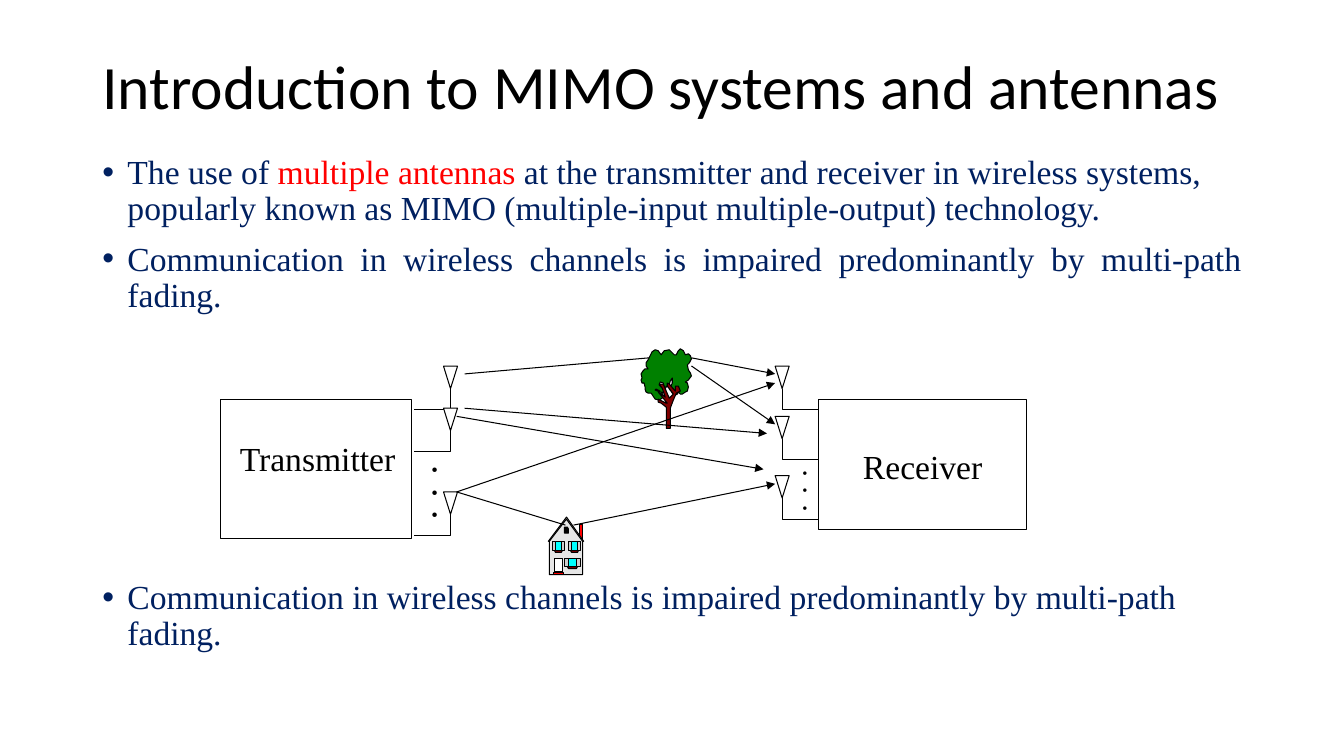
import lxml.etree
import pptx
import pptx.dml.color
import pptx.enum.shapes
import pptx.enum.text
import pptx.oxml.ns
import pptx.util

Pt = pptx.util.Pt
ALIGN = pptx.enum.text.PP_ALIGN
BLACK, WHITE, NAVY, RED = "000000", "FFFFFF", "002060", "FF0000"
SERIF = "Times New Roman"
UNIT = 0.72  # points per grid unit in the tree and house drawings
TREE, HOUSE = (457.92, 249.12), (391.68, 369.36)  # top left corners

CROWN = [
    (22, 46), (20, 43), (21, 43), (23, 44), (25, 37), (26, 38), (28, 36), (29, 32),
    (31, 29), (31, 34), (29, 39), (28, 40), (30, 42), (31, 44), (34, 46), (36, 45),
    (37, 43), (39, 45), (41, 45), (44, 43), (46, 42), (47, 38), (46, 34), (44, 33),
    (47, 31), (50, 27), (49, 24), (47, 21), (46, 16), (48, 14), (50, 10), (49, 7),
    (47, 5), (44, 6), (42, 2), (39, 0), (37, 2), (35, 6), (33, 6), (31, 4),
    (28, 1), (23, 2), (20, 6), (17, 2), (14, 1), (11, 3), (9, 7), (7, 11),
    (5, 14), (5, 17), (7, 20), (4, 20), (2, 22), (0, 25), (1, 29), (0, 31),
    (1, 34), (3, 34), (4, 38), (4, 40), (5, 43), (7, 44), (10, 44), (14, 50),
    (18, 51), (21, 49)]
CROWN_GAPS = [[(22, 34), (24, 42), (21, 39), (18, 36), (19, 33)],
              [(14, 41), (15, 40), (19, 42), (19, 43)]]
TRUNK = [
    (17, 43), (26, 54), (25, 54), (21, 52), (17, 50), (17, 53), (20, 54), (25, 58),
    (25, 79), (29, 79), (29, 59), (32, 51), (35, 44), (39, 42), (37, 37), (34, 37),
    (34, 42), (28, 35), (26, 34), (26, 37), (32, 45), (28, 49), (22, 35), (18, 35),
    (21, 39), (24, 48), (20, 45)]
ROOF = [(0, 24), (35, 24), (18, 0)]
WALL = [(1, 57), (34, 57), (34, 24), (18, 2), (1, 24)]
ATTIC = [(16, 16), (20, 16), (20, 12), (19, 10), (16, 10), (16, 12)]
# Windows: left, top, width, height, shutter width
WINDOWS = [(7, 24, 6, 9, 3), (23, 24, 6, 9, 3), (20, 41, 8, 8, 4)]
STEPS = [(6, 54, 8, 1), (5, 55, 10, 2)]

# Signal paths: start, end, arrowhead
SIGNALS = [
    ((326.2, 297.4), (545.4, 335.2), True),
    ((326.2, 351.4), (403.9, 375.1), False),
    ((409.7, 375.1), (553.7, 345.6), True),
    ((331.9, 267.1), (463.7, 255.6), False),
    ((493.9, 261.4), (553.7, 303.1), True),
    ((493.9, 255.6), (553.7, 267.1), True),
    ((331.9, 291.6), (547.9, 309.6), True),
    ((326.2, 351.4), (553.7, 273.6), True)]


def color(value):
    return pptx.dml.color.RGBColor.from_string(value)


def paint(shape, fill):
    shape.shadow.inherit = False
    if fill:
        shape.fill.solid()
        shape.fill.fore_color.rgb = color(fill)
    else:
        shape.fill.background()
    shape.line.color.rgb = color(BLACK)
    shape.line.width = Pt(0.75)


def style(para, size, font, ink):
    for span in para.runs:
        span.font.size = Pt(size)
        span.font.name = font
        span.font.color.rgb = color(ink)


def add_box(page, left, top, width, height, fill):
    box = page.shapes.add_shape(pptx.enum.shapes.MSO_SHAPE.RECTANGLE,
                                Pt(left), Pt(top), Pt(width), Pt(height))
    paint(box, fill)
    return box


def add_text(page, left, top, width, height, lines, size, font=SERIF, wrap=False):
    box = page.shapes.add_textbox(Pt(left), Pt(top), Pt(width), Pt(height))
    frame = box.text_frame
    frame.text = "\n".join(lines)
    frame.word_wrap = wrap
    for para in frame.paragraphs:
        style(para, size, font, BLACK)
    return frame


def add_outline(page, origin, contours, fill, unit=UNIT, close=True):
    builder = page.shapes.build_freeform(*contours[0][0], scale=Pt(unit))
    for contour in contours:
        builder.move_to(*contour[0])
        builder.add_line_segments(contour[1:], close=close)
    shape = builder.convert_to_shape(Pt(origin[0]), Pt(origin[1]))
    paint(shape, fill)


def rectangle(left, top, width, height):
    right, bottom = left + width, top + height
    return [(left, bottom), (right, bottom), (right, top), (left, top)]


def add_signal(page, start, end, arrow):
    line = page.shapes.add_connector(pptx.enum.shapes.MSO_CONNECTOR.STRAIGHT,
                                     *[Pt(value) for value in start + end])
    line.line.color.rgb = color(BLACK)
    line.line.width = Pt(0.75)
    if arrow:
        lxml.etree.SubElement(line.line._get_or_add_ln(),
                              pptx.oxml.ns.qn("a:tailEnd"), type="triangle")
    lxml.etree.SubElement(line._element.spPr, pptx.oxml.ns.qn("a:effectLst"))


def add_antenna(page, x, top, feed):
    wire = [(feed, 31), (0, 31), (0, 15.6)]
    add_outline(page, (x, top), [wire], None, unit=1, close=False)
    horn = [(0, 15.6), (-5.1, 0), (5.1, 0)]
    add_outline(page, (x, top), [horn], WHITE, unit=1)


def add_bullet(para, parts, before):
    para.text = "".join(parts) if len(parts) == 1 else ""
    if len(parts) > 1:
        for part in parts:
            para.add_run().text = part
    style(para, 24, SERIF, NAVY)
    para.line_spacing = 0.9
    para.space_before = Pt(before)
    props = para._p.get_or_add_pPr()
    props.set("marL", str(Pt(18)))
    props.set("indent", str(Pt(-18)))
    ink = lxml.etree.SubElement(props, pptx.oxml.ns.qn("a:buClr"))
    lxml.etree.SubElement(ink, pptx.oxml.ns.qn("a:srgbClr"), val=NAVY)
    lxml.etree.SubElement(props, pptx.oxml.ns.qn("a:buFont"), typeface="Arial")
    lxml.etree.SubElement(props, pptx.oxml.ns.qn("a:buChar"), char="•")


def add_body(page):
    fading = ("Communication in wireless channels is impaired predominantly "
              "by multi-path fading.")
    use = ["The use of ", "multiple antennas ",
           "at the transmitter and receiver in wireless systems, popularly known "
           "as MIMO (multiple-input multiple-output) technology."]
    frame = add_text(page, 66, 107.5, 828, 379.5, [], 24, wrap=True)
    add_bullet(frame.paragraphs[0], use, 0)
    frame.paragraphs[0].runs[1].font.color.rgb = color(RED)
    add_bullet(frame.add_paragraph(), [fading], 10)
    frame.paragraphs[1].alignment = ALIGN.JUSTIFY
    add_bullet(frame.add_paragraph(), [fading], 190)  # leaves room for the diagram


def add_house(page):
    x, y = HOUSE
    add_box(page, x + 31 * UNIT, y + 7 * UNIT, 3 * UNIT, 17 * UNIT, RED)
    add_outline(page, HOUSE, [ROOF], "CDCDCD")
    add_outline(page, HOUSE, [WALL], "E6E6E6")
    add_box(page, x + 6 * UNIT, y + 41 * UNIT, 8 * UNIT, 13 * UNIT, WHITE)
    add_outline(page, HOUSE, [ATTIC], BLACK)
    add_outline(page, HOUSE, [rectangle(*step) for step in STEPS], RED)
    for left, top, width, height, shutter in WINDOWS:
        right, bottom = left + width, top + height
        sill = [(left, bottom + 2), (right, bottom + 2),
                (right + 1, bottom), (left - 1, bottom)]
        shutters = [rectangle(edge, top, shutter, height)
                    for edge in (left - shutter, right)]
        add_outline(page, HOUSE, [sill], "800000")
        add_outline(page, HOUSE, [rectangle(left, top, width, height)], "00FFFF")
        add_outline(page, HOUSE, shutters, "CDCDCD")


def main():
    deck = pptx.Presentation()
    deck.slide_width, deck.slide_height = Pt(960), Pt(540)
    page = deck.slides.add_slide(deck.slide_layouts[6])

    # Title and bullets
    title = add_text(page, 66, 26.5, 828, 75,
                     ["Introduction to MIMO systems and antennas"], 44, "Calibri", True)
    title.vertical_anchor = pptx.enum.text.MSO_ANCHOR.MIDDLE
    title.paragraphs[0].line_spacing = 0.9
    add_body(page)

    # Tree and house
    add_outline(page, TREE, [CROWN] + CROWN_GAPS, "008000")
    add_outline(page, TREE, [TRUNK], "800000")
    add_house(page)

    # Transmitter and receiver
    add_box(page, 157.7, 285.2, 136, 99.4, None)
    add_text(page, 164.2, 309.6, 126, 36, ["Transmitter"], 24)
    receiver = add_box(page, 584.6, 285.2, 149, 92.8, WHITE).text_frame
    receiver.text = "Receiver"
    receiver.vertical_anchor = pptx.enum.text.MSO_ANCHOR.TOP
    receiver.margin_top = Pt(33)
    receiver.paragraphs[0].alignment = ALIGN.CENTER
    style(receiver.paragraphs[0], 24, SERIF, BLACK)

    # Antennas, with dots for the ones between
    for x, feed, tops in ((321.8, -26, (261.6, 291.6, 351.4)),
                          (558.7, 26, (261.6, 297.4, 339.8))):
        for top in tops:
            add_antenna(page, x, top, feed)
    add_text(page, 301, 323.3, 18.7, 54, ["•"] * 3, 13.5)
    add_text(page, 566, 327.6, 18, 43.2, ["•"] * 3, 10.5)

    # Signal paths
    for start, end, arrow in SIGNALS:
        add_signal(page, start, end, arrow)

    deck.save("out.pptx")


if __name__ == "__main__":
    main()
